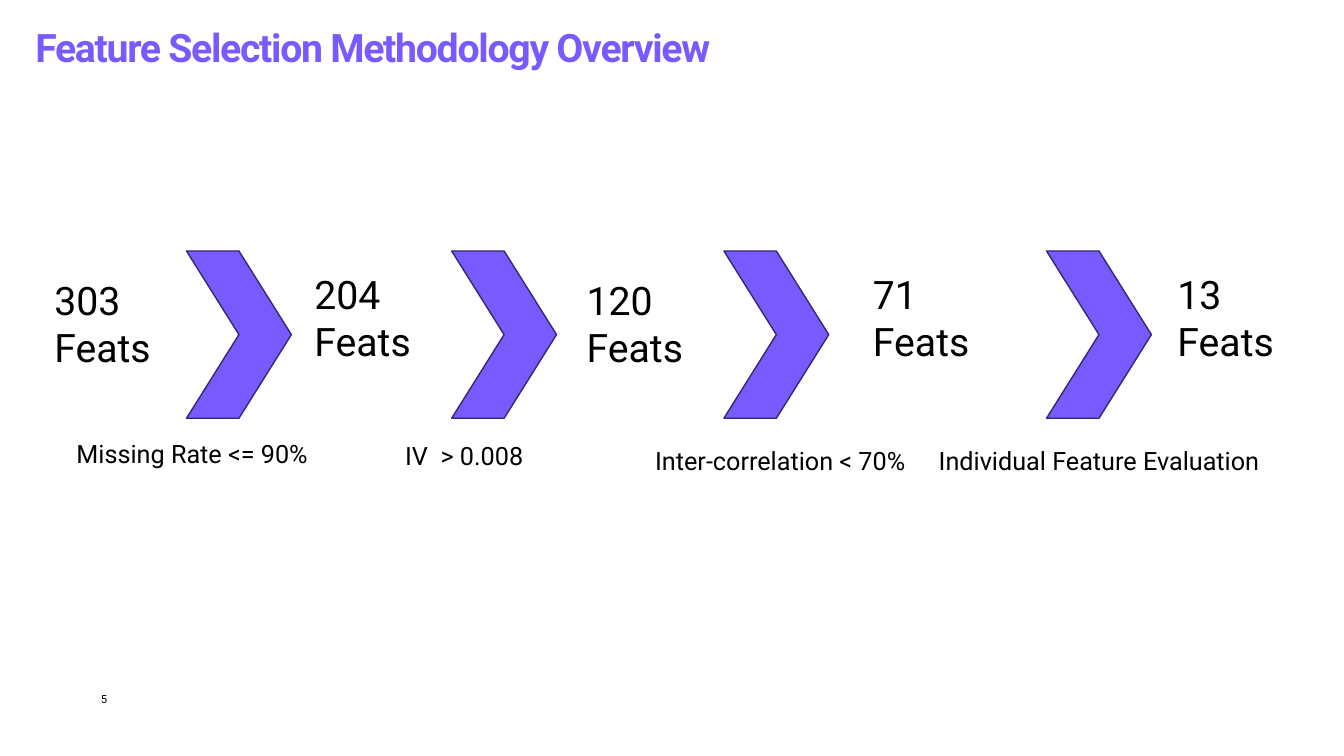
"""Build the feature selection overview slide."""
import pptx
import pptx.dml.color
import pptx.enum.shapes
import pptx.enum.text
import pptx.util

Inches = pptx.util.Inches

COLORS = {"violet": "785AFF", "outline": "352770", "black": "000000"}


class SlideBuilder:
    """Hold the slide style and draw each kind of element."""

    def __init__(self, slide):
        self.slide = slide
        self.font_name = "Roboto"

    def color(self, name):
        """Return a named colour."""
        return pptx.dml.color.RGBColor.from_string(COLORS[name])

    def text(self, words, left, top, width, height, size, color="black", margins=None):
        """Add a text box, growing to fit unless margins are given."""
        box = self.slide.shapes.add_textbox(
            Inches(left), Inches(top), Inches(width), Inches(height))
        frame = box.text_frame
        frame.word_wrap = True
        if margins is None:
            frame.auto_size = pptx.enum.text.MSO_AUTO_SIZE.SHAPE_TO_FIT_TEXT
        else:
            frame.margin_left = frame.margin_right = Inches(margins[0])
            frame.margin_top = frame.margin_bottom = Inches(margins[1])
        frame.text = words
        for para in frame.paragraphs:
            para.font.name = self.font_name
            para.font.size = pptx.util.Pt(size)
            para.font.color.rgb = self.color(color)
        return frame.paragraphs[0]

    def title(self, words):
        """Add the bold, tightly spaced heading."""
        para = self.text(words, 0.35, 0.08, 12.48, 0.92, 28, "violet", (0, 0.1))
        para.line_spacing = 1.1
        para.font.bold = True
        para.runs[0]._r.get_or_add_rPr().set("spc", "-90")

    def chevron(self, left):
        """Add one step arrow."""
        shape = self.slide.shapes.add_shape(
            pptx.enum.shapes.MSO_SHAPE.CHEVRON,
            Inches(left), Inches(2.49), Inches(1.04), Inches(1.66))
        shape.shadow.inherit = False
        shape.fill.solid()
        shape.fill.fore_color.rgb = self.color("violet")
        shape.line.color.rgb = self.color("outline")
        shape.line.width = pptx.util.Pt(1)


def main():
    """Create the deck and save it."""
    deck = pptx.Presentation()
    deck.slide_width, deck.slide_height = Inches(13.33), Inches(7.5)
    builder = SlideBuilder(deck.slides.add_slide(deck.slide_layouts[6]))

    builder.text("5", 1, 6.87, 2.92, 0.25, 8, margins=(0, 0))
    builder.title("Feature Selection Methodology Overview")

    criteria = [
        ("Missing Rate <= 90%", 0.66, 4.3, 2.72, 0.4),
        ("IV  > 0.008", 3.92, 4.32, 2.91, 0.4),
        ("Inter-correlation < 70%", 6.4, 4.37, 3.24, 0.4),
        ("Individual Feature Evaluation", 9.19, 4.37, 3.42, 0.71),
    ]
    for criterion in criteria:
        para = builder.text(*criterion, 18)
    para.alignment = pptx.enum.text.PP_ALIGN.CENTER

    for left in (1.85, 4.48, 7.18, 10.38):
        builder.chevron(left)

    feature_counts = [
        ("303\nFeats", 0.44, 2.69),
        ("204\nFeats", 3.02, 2.63),
        ("120\vFeats", 5.72, 2.69),
        ("71\vFeats", 8.56, 2.63),
        ("13\vFeats", 11.58, 2.63),
    ]
    for words, left, top in feature_counts:
        builder.text(words, left, top, 1.59, 1.04, 28)

    deck.save("out.pptx")


if __name__ == "__main__":
    main()
